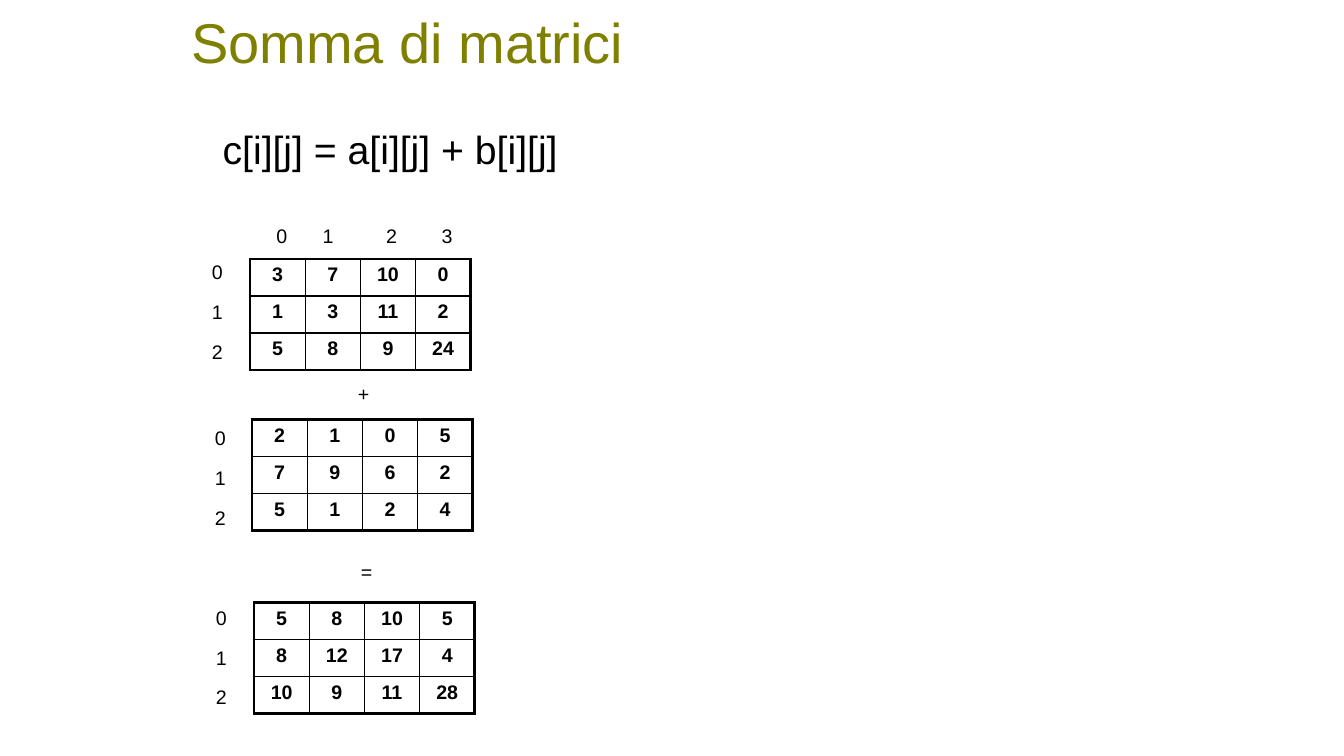
from lxml import etree
from pptx import Presentation
from pptx.dml.color import RGBColor
from pptx.enum import text
from pptx.oxml import ns
from pptx.util import Inches, Pt

OLIVE = RGBColor(0x80, 0x80, 0x00)
BLACK = RGBColor(0, 0, 0)
WHITE = RGBColor(0xFF, 0xFF, 0xFF)
FONT = "Arial"
THICK, THIN = 2.25, 1
LABEL_WIDTH, LABEL_HEIGHT, LABEL_STEP = 0.31, 0.33, 0.395
TABLE_WIDTH, TABLE_HEIGHT = 2.19, 1.1

MATRICES = [
    ((2.48, 2.57), (2.0, 2.53), [[3, 7, 10, 0], [1, 3, 11, 2], [5, 8, 9, 24]]),
    ((2.5, 4.16), (2.03, 4.18), [[2, 1, 0, 5], [7, 9, 6, 2], [5, 1, 2, 4]]),
    ((2.52, 5.98), (2.04, 5.96), [[5, 8, 10, 5], [8, 12, 17, 4], [10, 9, 11, 28]]),
]
COLUMN_LABELS = [2.64, 3.1, 3.73, 4.28]
OPERATORS = [("+", 3.45, 3.74), ("=", 3.48, 5.51)]


def write(paragraph, words, size, color=BLACK, bold=False):
    paragraph.alignment = text.PP_ALIGN.CENTER
    run = paragraph.add_run()
    run.text = words
    run.font.name = FONT
    run.font.size = Pt(size)
    run.font.bold = bold
    run.font.color.rgb = color


def add_text(slide, box, words, size=14, color=BLACK, wrap=False):
    shape = slide.shapes.add_textbox(*map(Inches, box))
    frame = shape.text_frame
    frame.word_wrap = wrap
    if wrap:
        frame.vertical_anchor = text.MSO_ANCHOR.MIDDLE
    else:
        frame.auto_size = text.MSO_AUTO_SIZE.SHAPE_TO_FIT_TEXT
    write(frame.paragraphs[0], words, size, color)


def add_label(slide, left, top, words):
    add_text(slide, (left, top, LABEL_WIDTH, LABEL_HEIGHT), words)


def set_borders(cell, outer_sides):
    properties = cell._tc.get_or_add_tcPr()
    for side in "LRTB":
        width = Pt(THICK if side in outer_sides else THIN)
        line = etree.SubElement(properties, ns.qn(f"a:ln{side}"), w=str(width))
        fill = etree.SubElement(line, ns.qn("a:solidFill"))
        etree.SubElement(fill, ns.qn("a:srgbClr"), val=str(BLACK))


def add_matrix(slide, box, values):
    row_count, column_count = len(values), len(values[0])
    left, top, width, height = map(Inches, box)
    table = slide.shapes.add_table(
        row_count, column_count, left, top, width, height).table
    table.first_row = table.horz_banding = False
    for column in table.columns:
        column.width = width // column_count
    for row in table.rows:
        row.height = height // row_count
    for i, row_values in enumerate(values):
        for j, value in enumerate(row_values):
            cell = table.cell(i, j)
            edges = {"T": i == 0, "B": i == row_count - 1,
                     "L": j == 0, "R": j == column_count - 1}
            set_borders(cell, [side for side, outer in edges.items() if outer])
            cell.fill.background()
            write(cell.text_frame.paragraphs[0], str(value), 14, bold=True)


def add_row_labels(slide, left, top, count):
    for i in range(count):
        add_label(slide, left, top + i * LABEL_STEP, str(i))


def add_column_labels(slide, top):
    for j, left in enumerate(COLUMN_LABELS):
        add_label(slide, left, top, str(j))


def build_matrix_sum(presentation):
    slide = presentation.slides.add_slide(presentation.slide_layouts[6])
    slide.background.fill.solid()
    slide.background.fill.fore_color.rgb = WHITE
    add_text(slide, (1.67, 0, 4.74, 0.81), "Somma di matrici", 40, OLIVE, True)
    add_text(slide, (2.09, 1.19, 3.56, 0.57), "c[i][j] = a[i][j] + b[i][j]", 28)
    add_column_labels(slide, 2.17)
    for table_corner, label_corner, values in MATRICES:
        add_matrix(slide, (*table_corner, TABLE_WIDTH, TABLE_HEIGHT), values)
        add_row_labels(slide, *label_corner, len(values))
    for symbol, left, top in OPERATORS:
        add_label(slide, left, top, symbol)


presentation = Presentation()
presentation.slide_width = Inches(13.33)
presentation.slide_height = Inches(7.5)
build_matrix_sum(presentation)
presentation.save("out.pptx")
